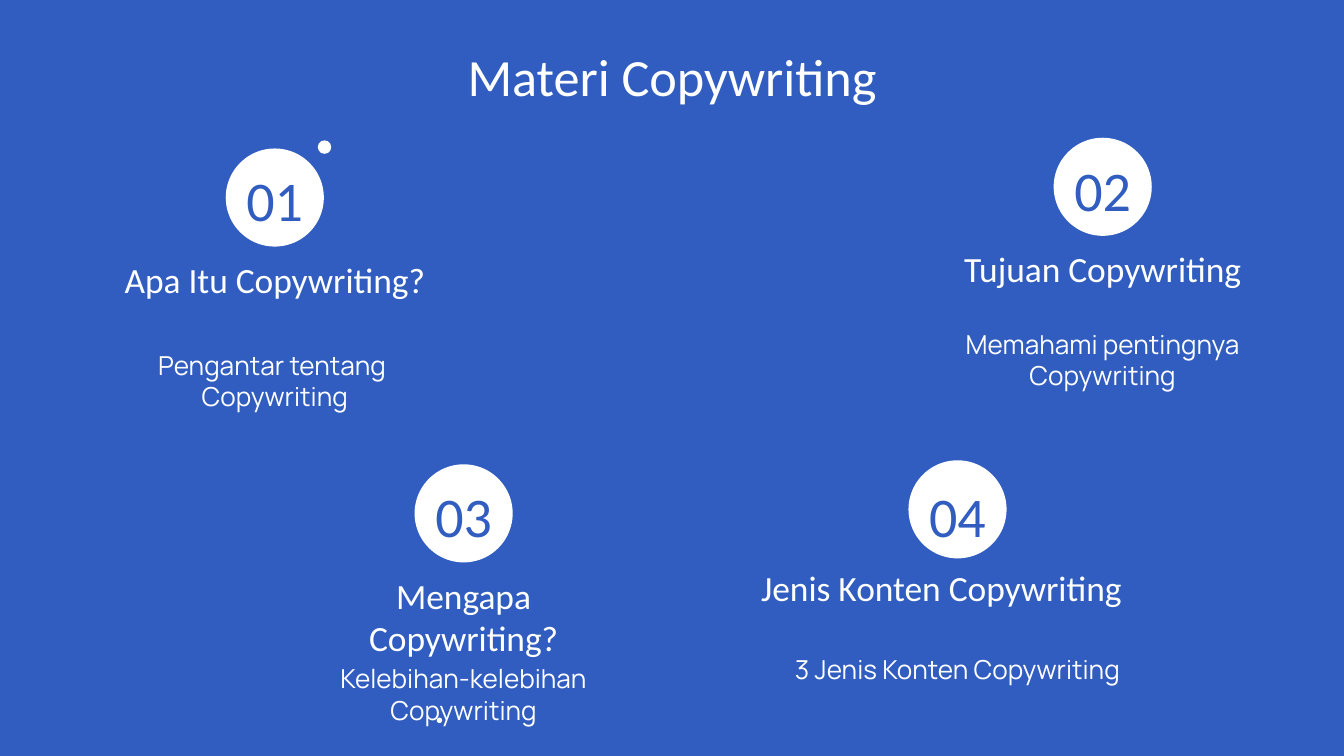
import pptx
import pptx.dml.color
import pptx.enum.shapes
import pptx.enum.text
import pptx.util

PX = 4572
BLUE = pptx.dml.color.RGBColor(0x30, 0x5D, 0xBF)
WHITE = pptx.dml.color.RGBColor(0xFF, 0xFF, 0xFF)
ANCHOR = pptx.enum.text.MSO_ANCHOR
INSET = 20
CIRCLE = 146
HEADING_H = 92
BODY_H = 146
TOPIC_W = 530

TOPICS = [
    {"number": "01", "heading": "Apa Itu Copywriting?",
     "lines": ["Pengantar tentang ", "Copywriting"],
     "box": (144, 221), "heading_box": (0, 143, 530), "body_y": 279, "number_y": 0},
    {"number": "02", "heading": "Tujuan Copywriting",
     "lines": ["Memahami pentingnya Copywriting"],
     "box": (1376, 205), "heading_box": (0, 143, 530), "body_y": 263, "number_y": 0},
    {"number": "03", "heading": "Mengapa Copywriting?",
     "lines": ["Kelebihan-kelebihan Copywriting"],
     "box": (425, 691), "heading_box": (2, 143, 526), "body_y": 275, "number_y": 0},
    {"number": "04", "heading": "Jenis Konten Copywriting",
     "lines": ["3 Jenis Konten Copywriting"],
     "box": (1160, 685), "heading_box": (-62, 137, 606), "body_y": 267, "number_y": 6},
]


def place(sp, x, y, w, h):
    sp.left, sp.top, sp.width, sp.height = [v * PX for v in (x, y, w, h)]


def write(sp, lines, size, font, color, anchor=ANCHOR.TOP):
    tf = sp.text_frame
    tf.word_wrap = True
    tf.auto_size = pptx.enum.text.MSO_AUTO_SIZE.NONE
    tf.vertical_anchor = anchor
    tf.margin_left = tf.margin_right = INSET * PX
    tf.margin_top = tf.margin_bottom = INSET * PX
    for i, line in enumerate(lines):
        p = tf.add_paragraph() if i else tf.paragraphs[0]
        p.alignment = pptx.enum.text.PP_ALIGN.CENTER
        p.line_spacing = 1.0
        p.space_before = p.space_after = pptx.util.Pt(0)
        pPr = p._p.get_or_add_pPr()
        pPr.set("marL", "0")
        pPr.set("indent", "0")
        pPr.append(pptx.oxml.parse_xml(
            '<a:buNone xmlns:a="http://schemas.openxmlformats.org/drawingml/2006/main"/>'))
        r = p.add_run()
        r.text = line
        r.font.size = pptx.util.Pt(size)
        r.font.name = font
        r.font.bold = False
        r.font.color.rgb = color


def add_label(s, x, y, w, h, text, size, color, anchor=ANCHOR.TOP):
    sp = s.shapes.add_textbox(0, 0, 0, 0)
    place(sp, x, y, w, h)
    write(sp, [text], size, "Calibri", color, anchor)


def add_circle(s, x, y, size):
    sp = s.shapes.add_shape(pptx.enum.shapes.MSO_SHAPE.OVAL,
                            x * PX, y * PX, size * PX, size * PX)
    sp.shadow.inherit = False
    sp.fill.solid()
    sp.fill.fore_color.rgb = WHITE
    sp.line.fill.background()


def add_title(s, x, y, w, h):
    place(s.shapes.title, x, y, w, h)
    write(s.shapes.title, ["Materi Copywriting"], 28, "Calibri", WHITE)


def add_topic(s, body, topic):
    x, y = topic["box"]
    circle_x = x + (TOPIC_W - CIRCLE) // 2
    add_circle(s, circle_x, y, CIRCLE)
    add_label(s, circle_x, y + topic["number_y"], CIRCLE, CIRCLE,
              topic["number"], 30, BLUE, ANCHOR.BOTTOM)
    dx, dy, w = topic["heading_box"]
    add_label(s, x + dx, y + dy, w, HEADING_H, topic["heading"], 19, WHITE)
    place(body, x, y + topic["body_y"], TOPIC_W, BODY_H)
    write(body, topic["lines"], 14, "Manrope", WHITE)


def main():
    prs = pptx.Presentation()
    prs.slide_width, prs.slide_height = 2000 * PX, 1125 * PX
    s = prs.slides.add_slide(prs.slide_layouts.get_by_name("Comparison"))
    s.background.fill.solid()
    s.background.fill.fore_color.rgb = BLUE
    add_title(s, 68, 46, 1864, 126)
    bodies = [sp for sp in s.placeholders if sp.placeholder_format.idx in range(1, 5)]
    for body, topic in zip(bodies, TOPICS):
        add_topic(s, body, topic)
    add_circle(s, 473, 209, 20)
    add_circle(s, 650, 1068, 8)
    prs.save("out.pptx")


if __name__ == "__main__":
    main()
